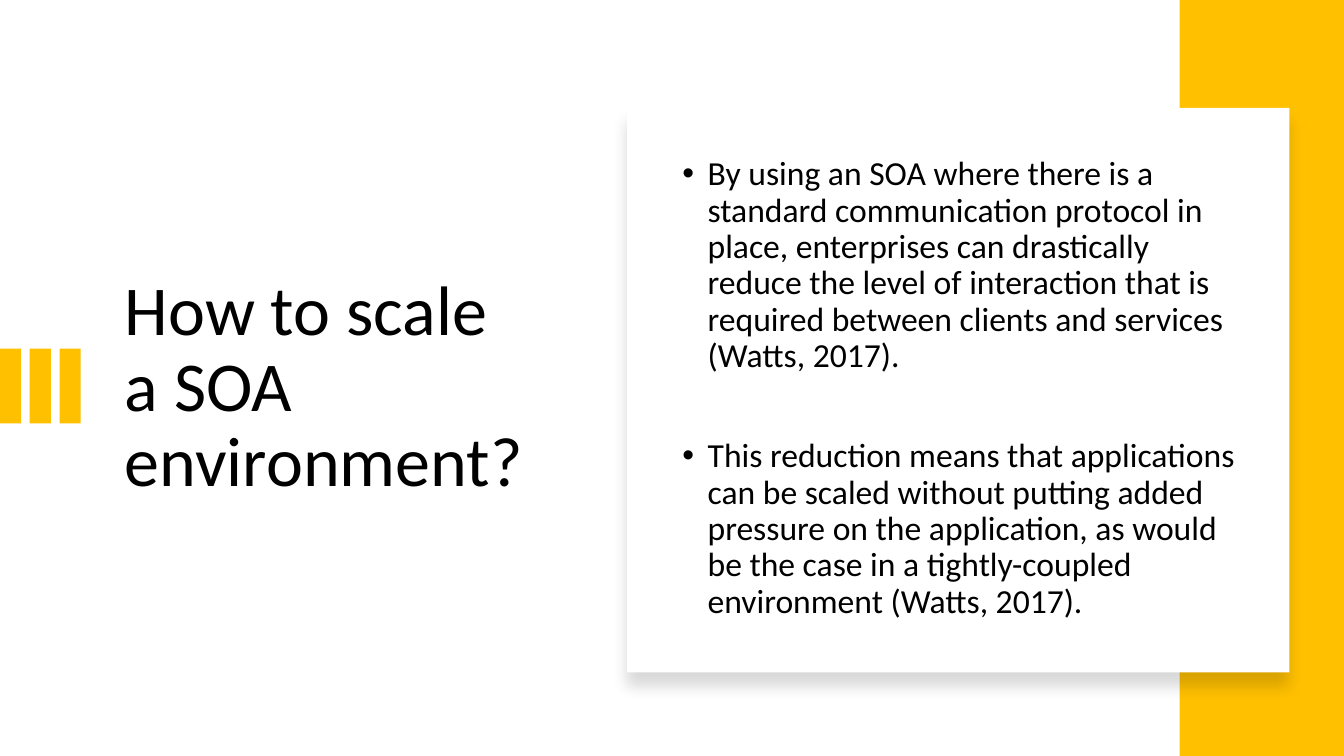
from lxml import etree
from pptx import Presentation
from pptx.dml.color import RGBColor
from pptx.enum import shapes, text
from pptx.oxml import ns
from pptx.util import Inches, Pt

AMBER = RGBColor(0xFF, 0xC0, 0x00)
WHITE = RGBColor(0xFF, 0xFF, 0xFF)
BLACK = RGBColor(0x00, 0x00, 0x00)
FONT = "Calibri"

TITLE = "How to scale a SOA environment?"
POINTS = [
    "By using an SOA where there is a standard communication protocol in place, "
    "enterprises can drastically reduce the level of interaction that is required "
    "between clients and services (Watts, 2017).",
    "This reduction means that applications can be scaled without putting added "
    "pressure on the application, as would be the case in a tightly-coupled "
    "environment (Watts, 2017).",
]


def add_block(slide, left, top, width, height, color):
    block = slide.shapes.add_shape(
        shapes.MSO_SHAPE.RECTANGLE,
        Inches(left), Inches(top), Inches(width), Inches(height))
    block.shadow.inherit = False
    block.fill.solid()
    block.fill.fore_color.rgb = color
    block.line.fill.background()
    return block


def add_soft_shadow(block):
    """Cast a faint black shadow straight down."""
    effects = block._element.spPr.find(ns.qn("a:effectLst"))
    shadow = etree.SubElement(
        effects, ns.qn("a:outerShdw"), blurRad=str(Pt(11)), dist=str(Pt(10)),
        dir=str(90 * 60000), algn="t", rotWithShape="0")
    color = etree.SubElement(shadow, ns.qn("a:srgbClr"), val=str(BLACK))
    etree.SubElement(color, ns.qn("a:alpha"), val="15000")


def add_text(slide, left, top, width, height, lines, size):
    frame = slide.shapes.add_textbox(
        Inches(left), Inches(top), Inches(width), Inches(height)).text_frame
    frame.word_wrap = True
    frame.vertical_anchor = text.MSO_ANCHOR.MIDDLE
    frame.text = "\n".join(lines)
    for paragraph in frame.paragraphs:
        paragraph.line_spacing = 0.9
        font = paragraph.runs[0].font
        font.name = FONT
        font.size = Pt(size)
        font.color.rgb = BLACK
    return frame


def add_bullet(paragraph):
    properties = paragraph._p.get_or_add_pPr()
    properties.set("marL", str(Inches(0.25)))
    properties.set("indent", str(Inches(-0.25)))
    etree.SubElement(properties, ns.qn("a:buFont"), typeface="Arial")
    etree.SubElement(properties, ns.qn("a:buChar"), char="•")


def main():
    deck = Presentation()
    deck.slide_width, deck.slide_height = Inches(13.33), Inches(7.5)
    slide = deck.slides.add_slide(deck.slide_layouts[6])

    add_text(slide, 1.14, 1.46, 4.26, 4.79, [TITLE], 50)
    for index in range(3):
        add_block(slide, index * 0.295, 3.46, 0.21, 0.74, AMBER)
    add_block(slide, 11.7, 0, 1.63, 7.5, AMBER)
    card = add_block(slide, 6.22, 1.07, 6.57, 5.6, WHITE)
    add_soft_shadow(card)

    body = add_text(slide, 6.67, 1.46, 5.75, 4.79, POINTS, 24)
    for paragraph, gap in zip(body.paragraphs, (10, 46)):
        paragraph.space_before = Pt(gap)
        add_bullet(paragraph)

    deck.save("out.pptx")


if __name__ == "__main__":
    main()
